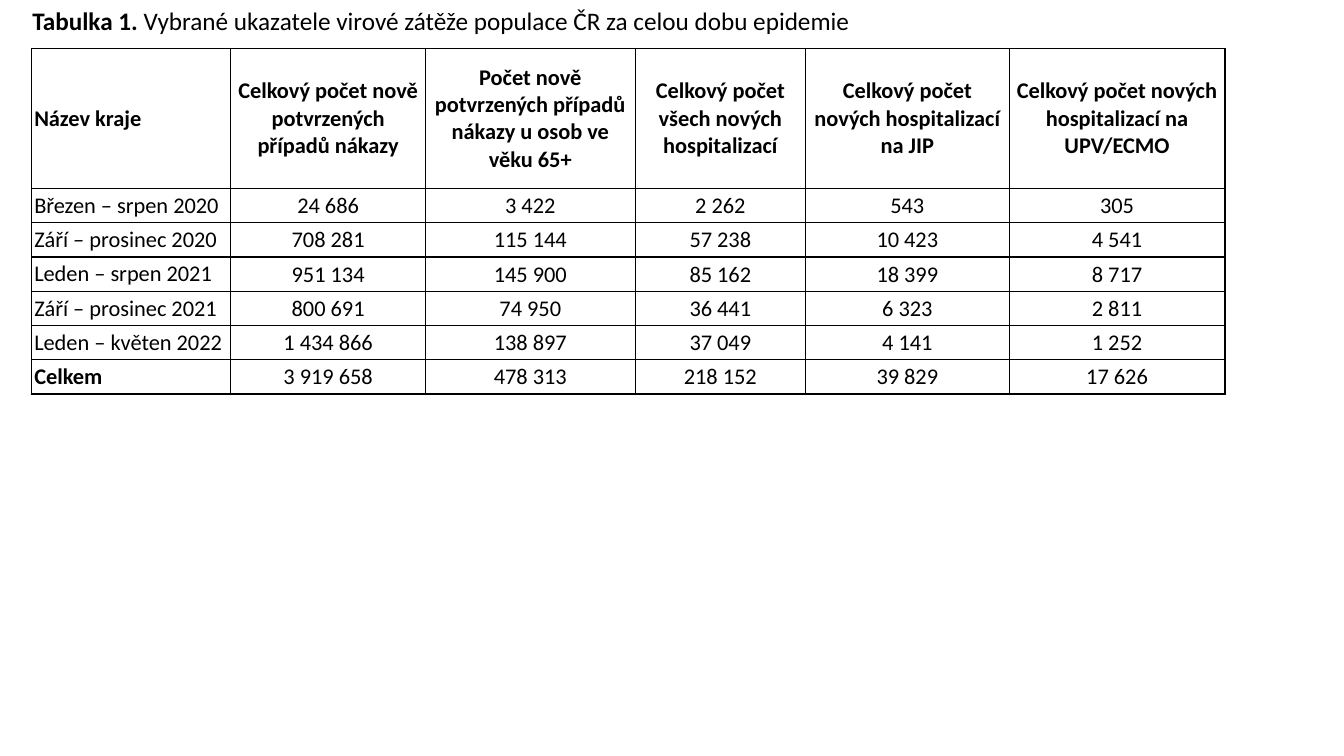
import dataclasses

import lxml.etree
import pptx
import pptx.dml.color
import pptx.enum.text
import pptx.oxml.ns
import pptx.util

Inches = pptx.util.Inches
Align = pptx.enum.text.PP_ALIGN
Anchor = pptx.enum.text.MSO_ANCHOR


@dataclasses.dataclass(frozen=True)
class Theme:
    font: str = "Calibri"
    text: str = "000000"
    border: str = "000000"
    cell: str = "FFFFFF"
    caption_size: int = 18
    table_size: int = 16
    border_width: int = 1


def add_text(paragraph, text, *, theme, size, bold=False, align=Align.LEFT):
    """Append one formatted run to a paragraph."""
    paragraph.alignment = align
    run = paragraph.add_run()
    run.text = text
    run.font.name = theme.font
    run.font.size = pptx.util.Pt(size)
    run.font.bold = bold
    run.font.color.rgb = pptx.dml.color.RGBColor.from_string(theme.text)


class SlideBuilder:
    def __init__(self, slide, theme):
        self.slide = slide
        self.theme = theme

    def caption(self, label, text, left, top, width, height):
        title = self.slide.shapes.title
        title.left, title.top = Inches(left), Inches(top)
        title.width, title.height = Inches(width), Inches(height)
        frame = title.text_frame
        frame.word_wrap = True
        frame.auto_size = pptx.enum.text.MSO_AUTO_SIZE.NONE
        frame.vertical_anchor = Anchor.TOP
        paragraph = frame.paragraphs[0]
        paragraph.line_spacing = 0.9
        paragraph.space_before = pptx.util.Pt(0)
        for part, bold in ((label, True), (text, False)):
            add_text(paragraph, part, theme=self.theme,
                     size=self.theme.caption_size, bold=bold)

    def border(self, cell):
        properties = cell._tc.get_or_add_tcPr()
        qn = pptx.oxml.ns.qn
        for side in ("a:lnL", "a:lnR", "a:lnT", "a:lnB"):
            line = lxml.etree.SubElement(
                properties, qn(side),
                w=str(pptx.util.Pt(self.theme.border_width)))
            fill = lxml.etree.SubElement(line, qn("a:solidFill"))
            lxml.etree.SubElement(fill, qn("a:srgbClr"), val=self.theme.border)

    def cell(self, cell, text, bold, align, insets):
        self.border(cell)
        cell.fill.solid()
        cell.fill.fore_color.rgb = pptx.dml.color.RGBColor.from_string(
            self.theme.cell)
        cell.vertical_anchor = Anchor.MIDDLE
        (cell.margin_left, cell.margin_top,
         cell.margin_right, cell.margin_bottom) = map(Inches, insets)
        add_text(cell.text_frame.paragraphs[0], text, theme=self.theme,
                 size=self.theme.table_size, bold=bold, align=align)

    def table(self, rows, left, top, column_widths, row_heights):
        table = self.slide.shapes.add_table(
            len(rows), len(column_widths), Inches(left), Inches(top),
            Inches(sum(column_widths)), Inches(sum(row_heights))).table
        for column, width in zip(table.columns, column_widths):
            column.width = Inches(width)
        for row, height in zip(table.rows, row_heights):
            row.height = Inches(height)
        for i, values in enumerate(rows):
            for j, value in enumerate(values):
                is_header, is_label = i == 0, j == 0
                is_total_label = is_label and i == len(rows) - 1
                self.cell(
                    table.cell(i, j), value,
                    bold=is_header or is_total_label,
                    align=Align.LEFT if is_label else Align.CENTER,
                    insets=(0.03,) * 4 if is_header or is_label
                    else (0.01, 0.01, 0.01, 0))


# Table content
HEADER = (
    "Název kraje",
    "Celkový počet nově potvrzených případů nákazy",
    "Počet nově potvrzených případů nákazy u osob ve věku 65+",
    "Celkový počet všech nových hospitalizací",
    "Celkový počet nových hospitalizací na JIP",
    "Celkový počet nových hospitalizací na UPV/ECMO",
)
PERIODS = (
    ("Březen – srpen 2020", "24 686", "3 422", "2 262", "543", "305"),
    ("Září – prosinec 2020", "708 281", "115 144", "57 238", "10 423", "4 541"),
    ("Leden – srpen 2021", "951 134", "145 900", "85 162", "18 399", "8 717"),
    ("Září – prosinec 2021", "800 691", "74 950", "36 441", "6 323", "2 811"),
    ("Leden – květen 2022", "1 434 866", "138 897", "37 049", "4 141", "1 252"),
)
TOTAL = ("Celkem", "3 919 658", "478 313", "218 152", "39 829", "17 626")


def main():
    presentation = pptx.Presentation()
    presentation.slide_width = Inches(13.33)
    presentation.slide_height = Inches(7.5)
    title_only = presentation.slide_layouts[5]
    builder = SlideBuilder(presentation.slides.add_slide(title_only), Theme())

    # Caption above the table
    builder.caption(
        "Tabulka 1. ",
        "Vybrané ukazatele virové zátěže populace ČR za celou dobu epidemie",
        0.22, 0.04, 12.7, 1.45)

    # Indicators by period
    rows = (HEADER, *PERIODS, TOTAL)
    builder.table(rows, 0.31, 0.48,
                  column_widths=(1.98, 1.93, 2.08, 1.69, 2.02, 2.14),
                  row_heights=(1.39,) + (0.34,) * (len(rows) - 1))

    presentation.save("out.pptx")


if __name__ == "__main__":
    main()
